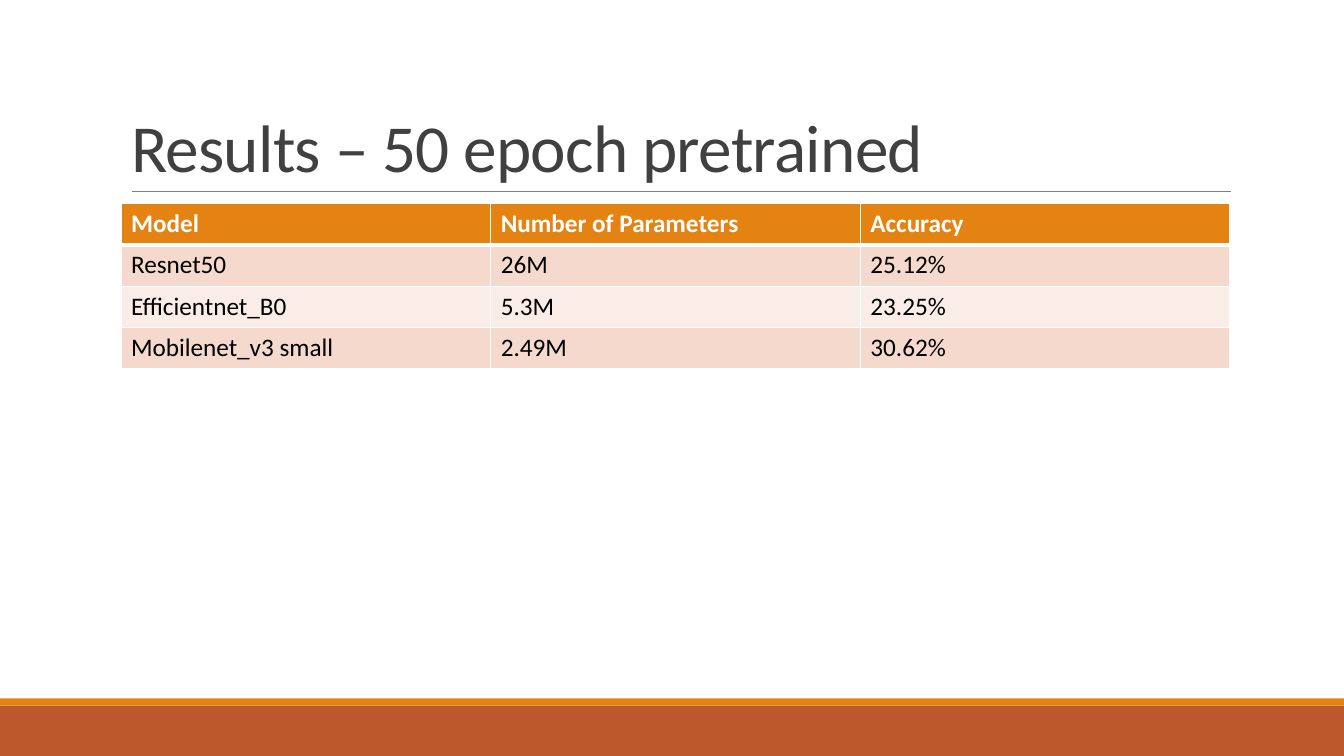
from lxml.etree import SubElement
from pptx import Presentation
from pptx.dml.color import RGBColor
from pptx.enum.shapes import MSO_CONNECTOR, MSO_SHAPE
from pptx.enum.text import MSO_ANCHOR, MSO_AUTO_SIZE, PP_ALIGN
from pptx.oxml.ns import qn
from pptx.util import Inches, Pt

COLORS = {
    "rust": "BD582C", "orange": "E48312", "rule": "808080", "title": "404040",
    "white": "FFFFFF", "black": "000000", "band_dark": "F5D9CC", "band_light": "FAEDE7",
}
RESULTS = [
    ("Model", "Number of Parameters", "Accuracy"),
    ("Resnet50", "26M", "25.12%"),
    ("Efficientnet_B0", "5.3M", "23.25%"),
    ("Mobilenet_v3 small", "2.49M", "30.62%"),
]


class SlideBuilder:
    font = "Calibri"

    def __init__(self, prs):
        self.s = prs.slides.add_slide(prs.slide_layouts[5])

    def color(self, name):
        return RGBColor.from_string(COLORS[name])

    def apply(self, target, values):
        for name, value in values.items():
            setattr(target, name, value)

    def add_text(self, p, text, size, color, bold=False):
        r = p.add_run()
        r.text = text
        self.apply(r.font, {"name": self.font, "size": Pt(size), "bold": bold})
        r.font.color.rgb = self.color(color)
        return r

    def bar(self, top, height, color):
        sp = self.s.shapes.add_shape(
            MSO_SHAPE.RECTANGLE, 0, Inches(top), Inches(13.33), Inches(height))
        sp.shadow.inherit = False
        sp.fill.solid()
        sp.fill.fore_color.rgb = self.color(color)
        sp.line.fill.background()

    def rule(self, left, right, y):
        line = self.s.shapes.add_connector(
            MSO_CONNECTOR.STRAIGHT, Inches(left), Inches(y), Inches(right), Inches(y))
        line.line.color.rgb = self.color("rule")
        line.line.width = Pt(0.5)
        SubElement(line._element.spPr, qn("a:effectLst"))

    def title(self, text, left, top, width, height):
        sp = self.s.shapes.title
        self.apply(sp, {"left": Inches(left), "top": Inches(top),
                        "width": Inches(width), "height": Inches(height)})
        tf = sp.text_frame
        self.apply(tf, {"vertical_anchor": MSO_ANCHOR.BOTTOM, "word_wrap": True,
                        "auto_size": MSO_AUTO_SIZE.NONE})
        p = tf.paragraphs[0]
        self.apply(p, {"alignment": PP_ALIGN.LEFT, "line_spacing": 0.85})
        r = self.add_text(p, text, 48, "title")
        r._r.get_or_add_rPr().set("spc", "-50")

    def borders(self, cell, widths):
        tcPr = cell._tc.get_or_add_tcPr()
        for side, width in widths.items():
            ln = SubElement(tcPr, qn(f"a:ln{side}"), w=str(Pt(width)))
            fill = SubElement(ln, qn("a:solidFill"))
            SubElement(fill, qn("a:srgbClr"), val=COLORS["white"])

    def table(self, rows, left, top, width, row_height):
        table = self.s.shapes.add_table(
            len(rows), len(rows[0]), Inches(left), Inches(top),
            Inches(width), Inches(row_height * len(rows))).table
        for i, row in enumerate(rows):
            header = i == 0
            fill = "orange" if header else ("band_light", "band_dark")[i % 2]
            for j, text in enumerate(row):
                cell = table.cell(i, j)
                self.borders(cell, {"L": 1, "R": 1, "T": 3 if i == 1 else 1,
                                    "B": 3 if header else 1})
                cell.fill.solid()
                cell.fill.fore_color.rgb = self.color(fill)
                self.add_text(cell.text_frame.paragraphs[0], text, 18,
                              "white" if header else "black", header)


def main():
    prs = Presentation()
    prs.slide_width, prs.slide_height = Inches(13.33), Inches(7.5)
    b = SlideBuilder(prs)
    b.bar(7, 0.5, "rust")
    b.bar(6.93, 0.07, "orange")
    b.rule(1.31, 12.21, 1.9)
    b.title("Results – 50 epoch pretrained", 1.2, 0.31, 11, 1.59)
    b.table(RESULTS, 1.2, 2.02, 11, 0.41)
    prs.save("out.pptx")


if __name__ == "__main__":
    main()
